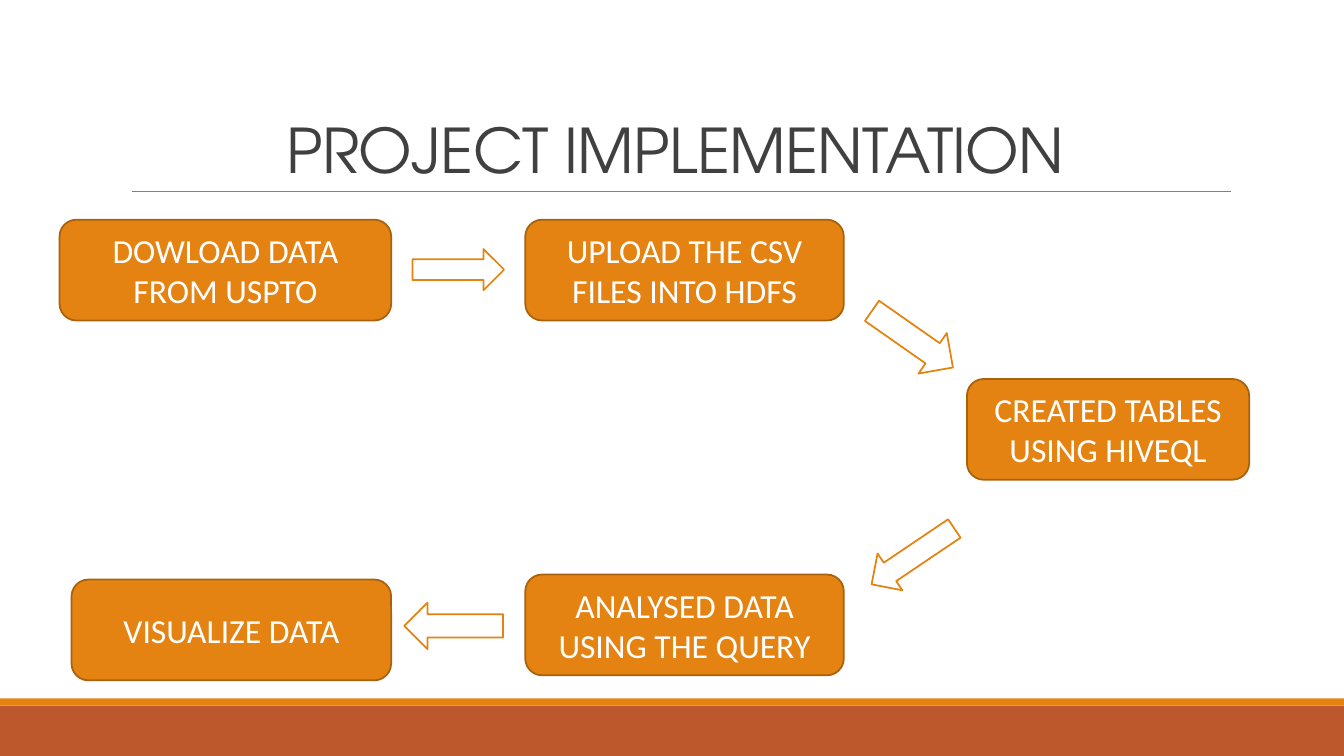
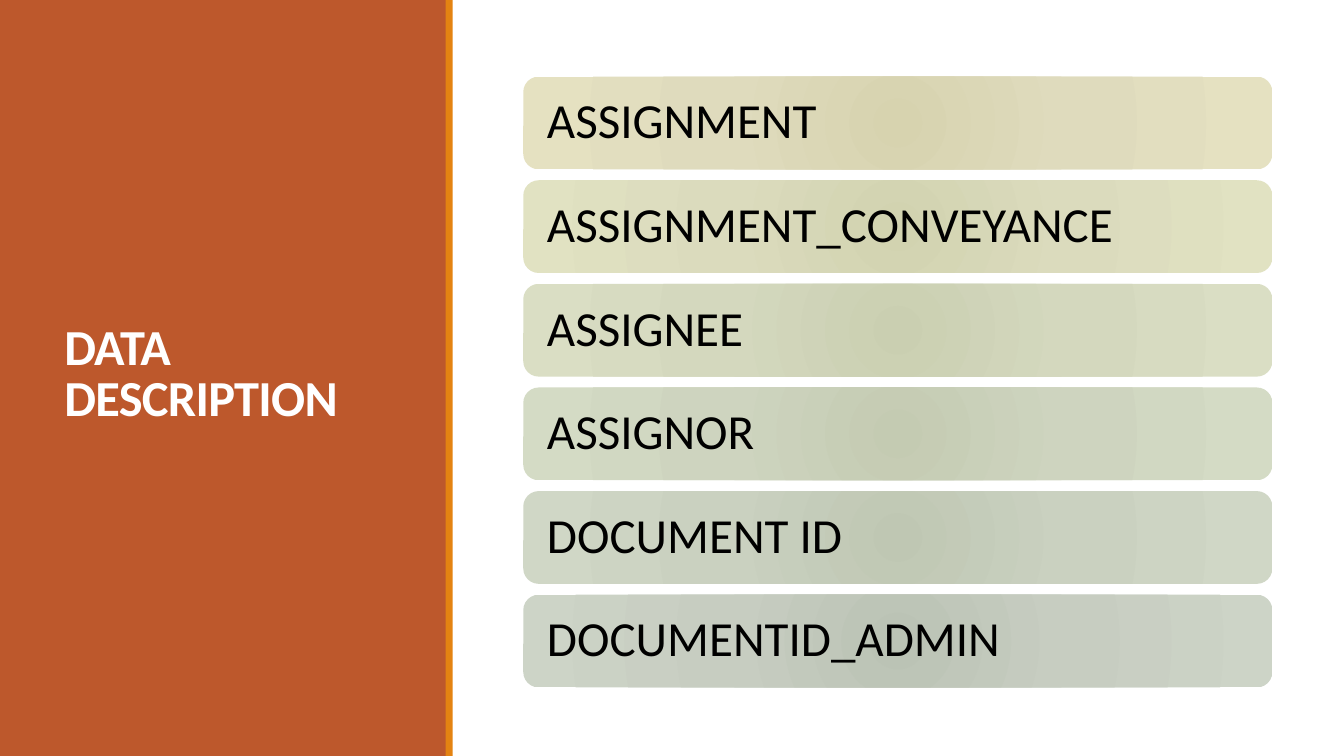
from pptx import Presentation
from pptx.dml.color import RGBColor
from pptx.enum.shapes import MSO_CONNECTOR, MSO_SHAPE as SHAPE
from pptx.enum.text import MSO_ANCHOR as ANCHOR, PP_ALIGN as ALIGN
from pptx.oxml import parse_xml
from pptx.oxml.ns import nsdecls, qn
from pptx.util import Inches, Pt

rgb = RGBColor.from_string
ORANGE, RUST, BROWN = "E48312", "BD582C", "A9610D"
WHITE, BLACK, DARK, GREY = "FFFFFF", "000000", "404040", "808080"
TITLE = dict(spacing=0.85, tracking=-0.5)


def add_box(s, kind, at, fill, line=None, rotation=0):
    """Add a preset shape; at is left, top, width, height in inches."""
    sp = s.shapes.add_shape(kind, *map(Inches, at))
    sp.shadow.inherit = False
    sp.rotation = rotation
    sp.fill.solid()
    sp.fill.fore_color.rgb = rgb(fill)
    if line:
        sp.line.color.rgb = rgb(line)
        sp.line.width = Pt(1.25)
    else:
        sp.line.fill.background()
    return sp


def write(sp, text, size, color, font="Calibri", bold=False, align=ALIGN.LEFT,
          anchor=ANCHOR.MIDDLE, spacing=1.0, tracking=0, inset=0.1):
    tf = sp.text_frame
    tf.word_wrap = True
    tf.vertical_anchor = anchor
    tf.margin_left = tf.margin_right = Inches(inset)
    p = tf.paragraphs[0]
    p.alignment = align
    p.line_spacing = spacing
    r = p.add_run()
    r.text = text
    r.font.name = font
    r.font.size = Pt(size)
    r.font.bold = bold
    r.font.color.rgb = rgb(color)
    if tracking:
        r.font._element.set("spc", str(int(tracking * 100)))


prs = Presentation()
prs.slide_width, prs.slide_height = Inches(13.33), Inches(7.5)
blank = prs.slide_layouts[6]

# Project implementation
s = prs.slides.add_slide(blank)
add_box(s, SHAPE.RECTANGLE, (0, 7, 13.33, 0.5), RUST)
add_box(s, SHAPE.RECTANGLE, (0, 6.93, 13.33, 0.07), ORANGE)

rule = s.shapes.add_connector(MSO_CONNECTOR.STRAIGHT, Inches(1.31), Inches(1.9),
                              Inches(12.21), Inches(1.9))
rule.line.color.rgb = rgb(GREY)
rule.line.width = Pt(0.5)
rule._element.spPr.append(parse_xml(f"<a:effectLst {nsdecls('a')}/>"))

title = s.shapes.add_textbox(Inches(1.2), Inches(0.31), Inches(11), Inches(1.59))
write(title, "PROJECT IMPLEMENTATION", 44, DARK, font="TeX Gyre Adventor",
      align=ALIGN.CENTER, anchor=ANCHOR.BOTTOM, **TITLE)

steps = [
    ("DOWLOAD DATA FROM USPTO", 0.59, 2.18, 3.29),
    ("UPLOAD THE CSV FILES INTO HDFS", 5.21, 2.18, 3.16),
    ("CREATED TABLES USING HIVEQL", 9.59, 3.76, 2.8),
    ("ANALYSED DATA USING THE QUERY", 5.21, 5.7, 3.16),
    ("VISUALIZE DATA", 0.71, 5.75, 3.17),
]
for text, left, top, width in steps:
    step = add_box(s, SHAPE.ROUNDED_RECTANGLE, (left, top, width, 1), ORANGE, BROWN)
    write(step, text, 24, WHITE, align=ALIGN.CENTER)

arrows = [
    (SHAPE.RIGHT_ARROW, (4.09, 2.47, 0.91, 0.41), 0),
    (SHAPE.RIGHT_ARROW, (8.56, 3.12, 0.98, 0.49), 35),
    (SHAPE.LEFT_ARROW, (8.56, 5.3, 0.99, 0.44), 326),
    (SHAPE.LEFT_ARROW, (4.01, 5.98, 0.98, 0.46), 0),
]
for kind, at, rotation in arrows:
    add_box(s, kind, at, WHITE, ORANGE, rotation)

# Data description
s = prs.slides.add_slide(blank)
add_box(s, SHAPE.RECTANGLE, (0, 0, 4.43, 7.5), RUST)
add_box(s, SHAPE.RECTANGLE, (4.42, 0, 0.07, 7.5), ORANGE)
title = s.shapes.add_textbox(Inches(0.54), Inches(0.57), Inches(3.37), Inches(6.31))
write(title, "DATA DESCRIPTION", 36, WHITE, bold=True, **TITLE)

tables = [
    ("ASSIGNMENT", "D7D3AF", "DFDBBD", "E5E1C1"),
    ("ASSIGNMENT_CONVEYANCE", "D2D3B0", "DBDBBD", "E1E2C2"),
    ("ASSIGNEE", "CACFB1", "D4D8BE", "DADEC4"),
    ("ASSIGNOR", "C4CBB2", "CED4BF", "D4DBC5"),
    ("DOCUMENT ID", "BFC7B3", "CAD1C0", "D0D7C6"),
    ("DOCUMENTID_ADMIN", "BBC3B5", "C7CDC1", "CDD4C7"),
]
first_top, last_top = 0.76, 5.9
pitch = (last_top - first_top) / (len(tables) - 1)
for i, (text, *colors) in enumerate(tables):
    bar = add_box(s, SHAPE.ROUNDED_RECTANGLE,
                  (5.19, first_top + i * pitch, 7.43, 0.92), colors[0])
    stops = "".join(f'<a:gs pos="{pos}"><a:srgbClr val="{color}"/></a:gs>'
                    for pos, color in zip((0, 45000, 100000), colors))
    gradient = parse_xml(
        f'<a:gradFill {nsdecls("a")} rotWithShape="1"><a:gsLst>{stops}</a:gsLst>'
        '<a:path path="circle"><a:fillToRect l="100000" t="100000" r="100000" b="100000"/>'
        '</a:path></a:gradFill>')
    spPr = bar._element.spPr
    spPr.replace(spPr.find(qn("a:solidFill")), gradient)
    write(bar, text, 35, BLACK, spacing=0.9, inset=0.19)

prs.save("out.pptx")
